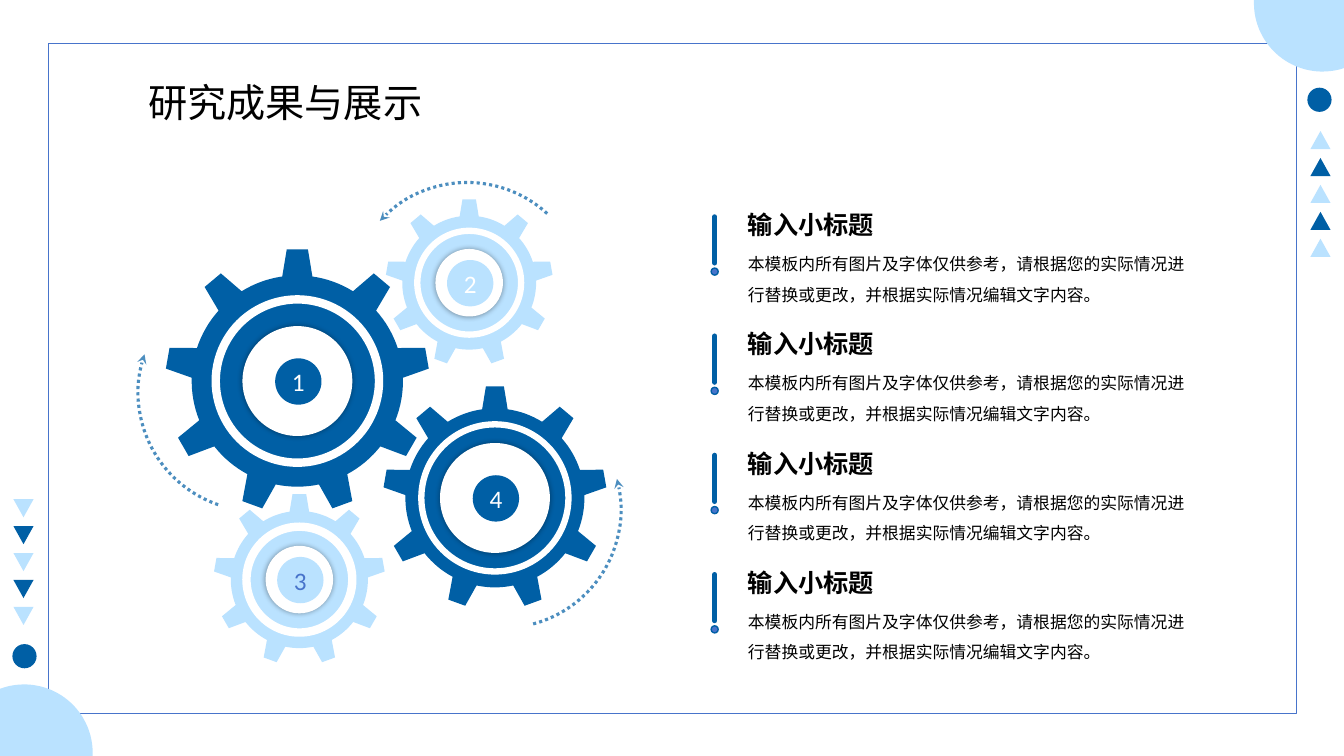
from dataclasses import dataclass
from itertools import cycle
from math import cos, pi, radians, sin
from typing import Any

from lxml import etree
from pptx import Presentation
from pptx.dml.color import RGBColor
from pptx.enum.dml import MSO_LINE
from pptx.enum.lang import MSO_LANGUAGE_ID
from pptx.enum.shapes import MSO_CONNECTOR, MSO_SHAPE
from pptx.enum.text import MSO_ANCHOR, MSO_AUTO_SIZE, PP_ALIGN
from pptx.oxml.ns import qn
from pptx.util import Inches, Pt

RECTANGLE, OVAL = MSO_SHAPE.RECTANGLE, MSO_SHAPE.OVAL
TRIANGLE, ARC = MSO_SHAPE.ISOSCELES_TRIANGLE, MSO_SHAPE.ARC
STRAIGHT = MSO_CONNECTOR.STRAIGHT
DOTTED = MSO_LINE.ROUND_DOT
CENTER, MIDDLE = PP_ALIGN.CENTER, MSO_ANCHOR.MIDDLE
GROW = MSO_AUTO_SIZE.SHAPE_TO_FIT_TEXT
CHINESE = MSO_LANGUAGE_ID.SIMPLIFIED_CHINESE

COLUMNS, ROWS = 133.33, 75
TEETH = 9
ITEM_PITCH = 11.83
ITEM_HEADING = "输入小标题"
ITEM_TEXT = "本模板内所有图片及字体仅供参考，请根据您的实际情况进行替换或更改，并根据实际情况编辑文字内容。"
Point = tuple[float, float]


@dataclass(frozen=True)
class Theme:
    dark: RGBColor = RGBColor(0x00, 0x5F, 0xA5)
    pale: RGBColor = RGBColor(0xBA, 0xE2, 0xFF)
    accent: RGBColor = RGBColor(0x48, 0x74, 0xCB)
    white: RGBColor = RGBColor(0xFF, 0xFF, 0xFF)
    black: RGBColor = RGBColor(0x00, 0x00, 0x00)
    font: str = "Calibri"
    title: float = 28
    heading: float = 18
    body: float = 12


THEME = Theme()


@dataclass(frozen=True)
class Box:
    left: float
    top: float
    width: float
    height: float

    def emu(self) -> list[int]:
        return [cells(self.left), cells(self.top), cells(self.width), cells(self.height)]

    def mirrored(self) -> "Box":
        return Box(COLUMNS - self.left - self.width, ROWS - self.top - self.height,
                   self.width, self.height)


@dataclass(frozen=True)
class Gear:
    label: str
    x: float
    y: float
    radius: float
    ring: float
    ring_line: float
    hub: float
    color: RGBColor
    label_color: RGBColor


@dataclass(frozen=True)
class TurnArrow:
    left: float
    top: float
    rotation: float
    flipped: bool


GEARS = [
    Gear("1", 29.5, 37.8, 13.1, 16.2, 6, 10.9, THEME.dark, THEME.white),
    Gear("4", 49.1, 49.4, 11.1, 14.6, 4.5, 10.9, THEME.dark, THEME.white),
    Gear("3", 29.7, 57.5, 8.5, 10.5, 6, 6.7, THEME.pale, THEME.accent),
    Gear("2", 46.55, 28.05, 8.3, 10.3, 4.5, 6.7, THEME.pale, THEME.white),
]
TURN_ARROWS = [
    TurnArrow(34.6, 18.1, 42.5, True),
    TurnArrow(13.7, 27.2, 198.9, False),
    TurnArrow(38.1, 38.8, 165, True),
]


def cells(count: float) -> int:
    return Inches(count / 10)


def apply(target: Any, values: dict[str, Any]) -> None:
    for name, value in values.items():
        setattr(target, name, value)


def paint(shape: Any, fill: RGBColor | None, line: RGBColor | None = None, width: float = 1) -> None:
    shape.shadow.inherit = False
    if fill is None:
        shape.fill.background()
    else:
        shape.fill.solid()
        shape.fill.fore_color.rgb = fill
    if line is None:
        shape.line.fill.background()
    else:
        shape.line.color.rgb = line
        shape.line.width = Pt(width)


def add_preset(page: Any, kind: Any, box: Box, fill: RGBColor | None,
               line: RGBColor | None = None, width: float = 1) -> Any:
    shape = page.shapes.add_shape(kind, *box.emu())
    paint(shape, fill, line, width)
    return shape


def add_disc(page: Any, x: float, y: float, size: float, fill: RGBColor,
             line: RGBColor | None = None, width: float = 1) -> Any:
    return add_preset(page, OVAL, Box(x - size / 2, y - size / 2, size, size), fill, line, width)


def add_outline(page: Any, points: list[Point], fill: RGBColor) -> None:
    corners = [(cells(x), cells(y)) for x, y in points]
    builder = page.shapes.build_freeform(*corners[0], scale=1.0)
    builder.add_line_segments(corners[1:], close=True)
    paint(builder.convert_to_shape(), fill)


def write(shape: Any, text: str, size: float, color: RGBColor, frame_values: dict[str, Any],
          para_values: dict[str, Any], bold: bool = False) -> None:
    frame = shape.text_frame
    apply(frame, {"word_wrap": True, **frame_values})
    para = frame.paragraphs[0]
    apply(para, para_values)
    span = para.add_run()
    span.text = text
    apply(span.font, {"name": THEME.font, "size": Pt(size), "bold": bold, "language_id": CHINESE})
    span.font.color.rgb = color


def add_text(page: Any, box: Box, text: str, size: float, margins: Point,
             spacing: float = 1, bold: bool = False) -> None:
    across, down = (cells(margin) for margin in margins)
    frame_values = {"auto_size": GROW, "margin_left": across, "margin_right": across,
                    "margin_top": down, "margin_bottom": down}
    write(page.shapes.add_textbox(*box.emu()), text, size, THEME.black,
          frame_values, {"line_spacing": spacing}, bold)


def polar(x: float, y: float, radius: float, degrees: float) -> Point:
    return x + radius * cos(radians(degrees)), y + radius * sin(radians(degrees))


def add_corners(page: Any) -> None:
    edge = 133.6
    rim = [polar(131.2, 0.3, 6.8, 182.5 - 113.2 * step / 40) for step in range(41)]
    points = [(edge, 0.0), *rim]
    add_outline(page, points, THEME.pale)
    add_outline(page, [(edge - x, ROWS - y) for x, y in points], THEME.pale)


def add_margin_marks(page: Any) -> None:
    marks = [(TRIANGLE, Box(130, 13 + 2.67 * index, 2, 1.8), color)
             for index, color in zip(range(5), cycle((THEME.pale, THEME.dark)))]
    marks.append((OVAL, Box(129.7, 8.7, 2.4, 2.4), THEME.dark))
    for kind, box, color in marks:
        add_preset(page, kind, box, color)
        add_preset(page, kind, box.mirrored(), color).rotation = 180


def add_item(page: Any, offset: float) -> None:
    bar = page.shapes.add_connector(STRAIGHT, cells(70.9), cells(21.5 + offset),
                                    cells(70.9), cells(26.1 + offset))
    bar.line.color.rgb = THEME.dark
    bar.line.width = Pt(3.5)
    properties = bar.element.spPr
    properties.find(qn("a:ln")).set("cap", "rnd")
    etree.SubElement(properties, qn("a:effectLst"))
    add_disc(page, 70.9, 26.95 + offset, 0.7, THEME.accent, THEME.dark)
    add_text(page, Box(73.5, 23.9 + offset, 46.1, 6.4), ITEM_TEXT, THEME.body, (0.7, 0.3), 1.5)
    add_text(page, Box(73.2, 20.3 + offset, 21.9, 4), ITEM_HEADING, THEME.heading, (1, 0.5), bold=True)


def add_gear(page: Any, gear: Gear) -> None:
    root = gear.radius * 0.8
    profile = [(root, -8.2), (gear.radius, -4.6), (gear.radius, 4.6)]
    profile += [(root, 8.2 + 23.6 * step / 8) for step in range(8)]
    outline = [polar(gear.x, gear.y, radius, 360 / TEETH * tooth - 90 + angle)
               for tooth in range(TEETH) for radius, angle in profile]
    add_outline(page, outline, gear.color)
    add_disc(page, gear.x, gear.y, gear.ring, gear.color, THEME.white, gear.ring_line)
    hub = add_disc(page, gear.x, gear.y, gear.hub, THEME.white)
    shadow = etree.SubElement(hub.element.spPr.find(qn("a:effectLst")), qn("a:outerShdw"),
                              blurRad=str(Pt(4)), dist="0", dir="5400000", rotWithShape="0")
    shade = etree.SubElement(shadow, qn("a:srgbClr"), val=str(THEME.black))
    etree.SubElement(shade, qn("a:alpha"), val="37000")
    badge = add_disc(page, gear.x + 0.1, gear.y + 0.05, 4.6, gear.color)
    write(badge, gear.label, THEME.heading, gear.label_color,
          {"vertical_anchor": MIDDLE}, {"alignment": CENTER})


def add_turn_arrow(page: Any, arrow: TurnArrow) -> None:
    arc = add_preset(page, ARC, Box(arrow.left, arrow.top, 23.5, 23.5), None, THEME.dark, 2.25)
    arc.rotation = arrow.rotation
    arc.line.dash_style = DOTTED
    properties = arc.element.spPr
    if arrow.flipped:
        properties.find(qn("a:xfrm")).set("flipH", "1")
    line = properties.find(qn("a:ln"))
    etree.SubElement(line.find(".//" + qn("a:srgbClr")), qn("a:alpha"), val="70000")
    etree.SubElement(line, qn("a:tailEnd"), type="stealth")


def main() -> None:
    deck = Presentation()
    apply(deck, {"slide_width": cells(COLUMNS), "slide_height": cells(ROWS)})
    page = deck.slides.add_slide(deck.slide_layouts[6])
    add_preset(page, RECTANGLE, Box(4.8, 4.3, 123.8, 66.5), None, THEME.accent)
    add_corners(page)
    add_margin_marks(page)
    for index in range(4):
        add_item(page, ITEM_PITCH * index)
    for gear in GEARS:
        add_gear(page, gear)
    for arrow in TURN_ARROWS:
        add_turn_arrow(page, arrow)
    add_text(page, Box(14.7, 7.8, 36, 4.7), "研究成果与展示", THEME.title, (0, 0))
    deck.save("out.pptx")


if __name__ == "__main__":
    main()
